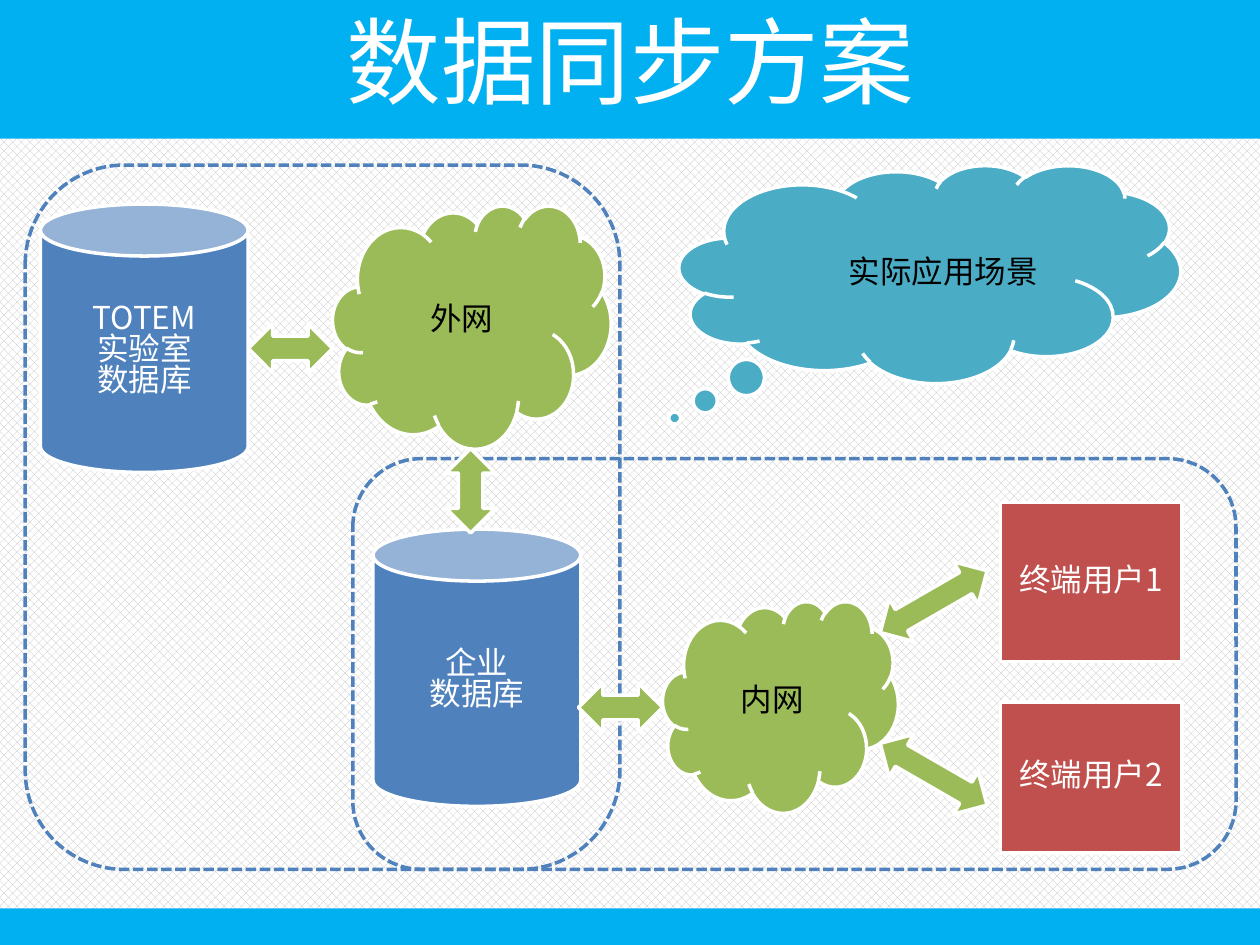
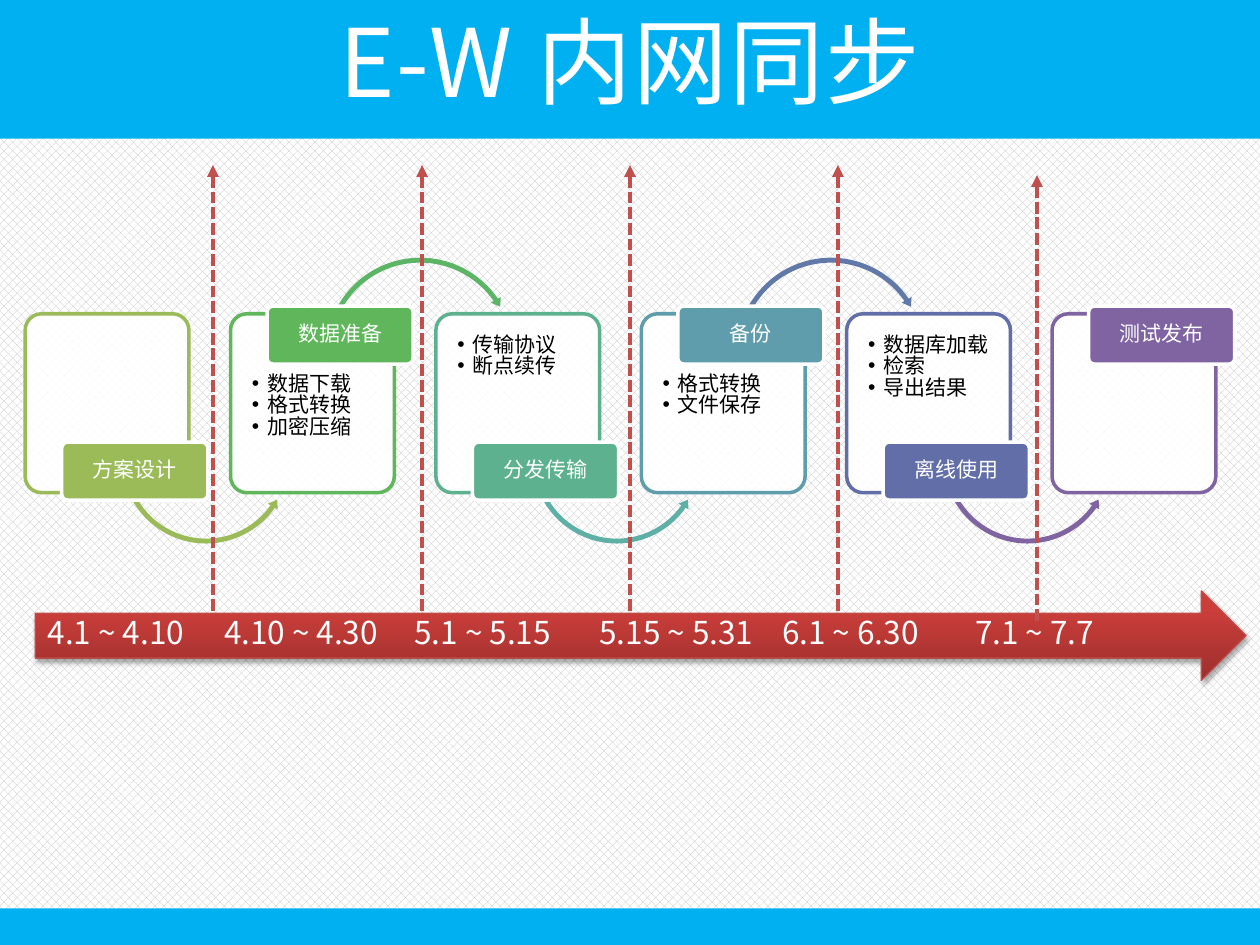
from lxml.etree import SubElement
from pptx import Presentation
from pptx.dml.color import RGBColor
from pptx.enum.dml import MSO_LINE, MSO_PATTERN
from pptx.enum.shapes import MSO_CONNECTOR, MSO_SHAPE
from pptx.enum.text import MSO_ANCHOR, PP_ALIGN
from pptx.oxml import parse_xml
from pptx.oxml.ns import nsdecls, qn
from pptx.util import Pt

PX = 9144
HEAD_FONT = "Noto Sans CJK JP"
BODY_FONT = "Noto Sans CJK SC"

WHITE = RGBColor(0xFF, 0xFF, 0xFF)
BLACK = RGBColor(0x00, 0x00, 0x00)
GREY = RGBColor(0xBF, 0xBF, 0xBF)
SKY = RGBColor(0x00, 0xB0, 0xF0)
BLUE = RGBColor(0x4F, 0x81, 0xBD)
AQUA = RGBColor(0x4B, 0xAC, 0xC6)
LIME = RGBColor(0x9B, 0xBB, 0x59)
RED = RGBColor(0xC0, 0x50, 0x4D)
RUST = RGBColor(0xBF, 0x4C, 0x48)
GREEN = RGBColor(0x5F, 0xB6, 0x5B)
LEAF = RGBColor(0x5C, 0xB5, 0x65)
JADE = RGBColor(0x5D, 0xB1, 0x8E)
TEAL = RGBColor(0x5E, 0xAF, 0xA6)
STEEL = RGBColor(0x5F, 0x9D, 0xAC)
SLATE = RGBColor(0x61, 0x79, 0xA8)
INDIGO = RGBColor(0x62, 0x6E, 0xA7)
PURPLE = RGBColor(0x80, 0x64, 0xA2)

BLEND = f"""<a:gradFill {nsdecls('a')} rotWithShape="1"><a:gsLst>
<a:gs pos="0"><a:srgbClr val="9C2F2D"/></a:gs>
<a:gs pos="80000"><a:srgbClr val="CB3E3A"/></a:gs>
<a:gs pos="100000"><a:srgbClr val="CE3B37"/></a:gs>
</a:gsLst><a:lin ang="16200000" scaled="0"/></a:gradFill>"""
SHADE = f"""<a:outerShdw {nsdecls('a')} blurRad="40000" dist="23000" dir="5400000"
rotWithShape="0"><a:srgbClr val="000000"><a:alpha val="35000"/></a:srgbClr></a:outerShdw>"""


class Deck:
    def __init__(self):
        self.show = Presentation()
        self.show.slide_width = 1000 * PX
        self.show.slide_height = 750 * PX
        self.slide = None
        fill = self.show.slide_master.background.fill
        fill.patterned()
        fill.pattern = MSO_PATTERN.PERCENT_50
        fill.fore_color.rgb = GREY
        fill.back_color.rgb = WHITE

    def page(self, title, gap=0):
        self.slide = self.show.slides.add_slide(self.show.slide_layouts[5])
        head = self.slide.shapes.title
        head.left, head.top, head.width, head.height = 0, 0, 1000 * PX, 110 * PX
        head.fill.solid()
        head.fill.fore_color.rgb = SKY
        self.letter(head, title, 54, WHITE, font=HEAD_FONT, gap=gap)
        self.shape(MSO_SHAPE.RECTANGLE, (0, 721, 1000, 31), SKY)

    def letter(self, item, text, size, color, font=BODY_FONT, inset=5, gap=0,
               lead=0.82, align=PP_ALIGN.CENTER, anchor=MSO_ANCHOR.MIDDLE):
        frame = item.text_frame
        frame.text = text
        frame.word_wrap = True
        frame.vertical_anchor = anchor
        frame.margin_left = inset * PX
        frame.margin_right = 5 * PX
        for para in frame.paragraphs:
            para.alignment = align
            para.line_spacing = lead
            for run in para.runs:
                run.font.size = Pt(size)
                run.font.name = font
                run.font.color.rgb = color
                props = run._r.get_or_add_rPr()
                SubElement(props, qn("a:ea")).set("typeface", font)
                if gap:
                    props.set("spc", str(gap * 100))
        return frame

    def shape(self, kind, box, fill=None, line=None, width=2, turn=0,
              adjust=(), text="", size=18, color=WHITE):
        item = self.slide.shapes.add_shape(kind, *(n * PX for n in box))
        item.shadow.inherit = False
        item.rotation = turn
        for i, value in enumerate(adjust):
            item.adjustments[i] = value
        if fill is None:
            item.fill.background()
        else:
            item.fill.solid()
            item.fill.fore_color.rgb = fill
        if line is None:
            item.line.fill.background()
        else:
            item.line.color.rgb = line
            item.line.width = Pt(width)
        if text:
            self.letter(item, text, size, color)
        return item

    def frame(self, box):
        item = self.shape(MSO_SHAPE.ROUNDED_RECTANGLE, box, line=BLUE)
        item.line.dash_style = MSO_LINE.SQUARE_DOT

    def label(self, box, text):
        item = self.slide.shapes.add_textbox(*(n * PX for n in box))
        self.letter(item, text, 18, BLACK)

    def card(self, box, color):
        item = self.shape(MSO_SHAPE.ROUNDED_RECTANGLE, box, WHITE, color,
                          adjust=(0.1,))
        paint = item._element.spPr.find(qn("a:solidFill"))[0]
        SubElement(paint, qn("a:alpha")).set("val", "90000")

    def bullets(self, box, items):
        item = self.slide.shapes.add_textbox(*(n * PX for n in box))
        frame = self.letter(item, "\n".join(items), 12, BLACK, inset=14,
                            lead=0.85, align=PP_ALIGN.LEFT, anchor=MSO_ANCHOR.TOP)
        frame.margin_top = 14 * PX
        for para in frame.paragraphs:
            props = para._p.get_or_add_pPr()
            props.set("marL", str(12 * PX))
            props.set("indent", str(-12 * PX))
            SubElement(props, qn("a:buFont")).set("typeface", "Arial")
            SubElement(props, qn("a:buChar")).set("char", "•")

    def axis(self, box, dates, stops):
        item = self.shape(MSO_SHAPE.RIGHT_ARROW, box, RED, RUST, 0.75)
        props = item._element.spPr
        props.replace(props.find(qn("a:solidFill")), parse_xml(BLEND))
        props.find(qn("a:effectLst")).append(parse_xml(SHADE))
        frame = self.letter(item, "\t".join(dates), 18, WHITE, inset=10,
                            align=PP_ALIGN.LEFT)
        tabs = SubElement(frame.paragraphs[0]._p.get_or_add_pPr(), qn("a:tabLst"))
        for stop in stops:
            tab = SubElement(tabs, qn("a:tab"))
            tab.set("pos", str(stop * PX))
            tab.set("algn", "l")

    def marker(self, x, top):
        item = self.slide.shapes.add_connector(
            MSO_CONNECTOR.STRAIGHT, x * PX, top * PX, x * PX, (top + 354) * PX)
        item.line.color.rgb = RED
        item.line.width = Pt(2.25)
        item.line.dash_style = MSO_LINE.SQUARE_DOT
        props = item._element.spPr
        SubElement(props.find(qn("a:ln")), qn("a:headEnd")).set("type", "triangle")
        SubElement(props, qn("a:effectLst"))

    def save(self):
        self.show.save("out.pptx")


def scheme(deck):
    deck.page("数据同步方案")
    deck.shape(MSO_SHAPE.CLOUD_CALLOUT, (539, 131, 398, 173), AQUA, WHITE,
               adjust=(-0.509, 0.661))
    deck.label((579, 139, 339, 157), "实际应用场景")

    for box, name in (((264, 163, 221, 193), "外网"), ((526, 477, 187, 168), "内网")):
        deck.shape(MSO_SHAPE.CLOUD, box, LIME, WHITE, text=name, color=BLACK)
    for box, name in (((794, 399, 144, 126), "终端用户1"),
                      ((794, 557, 144, 120), "终端用户2")):
        deck.shape(MSO_SHAPE.RECTANGLE, box, RED, WHITE, text=name)
    for box, name in (((32, 162, 165, 213), "TOTEM\n实验室\n数据库"),
                      ((296, 420, 165, 220), "企业\n数据库")):
        deck.shape(MSO_SHAPE.CAN, box, BLUE, WHITE, text=name)

    deck.frame((20, 131, 472, 559))
    deck.frame((280, 364, 701, 326))

    deck.shape(MSO_SHAPE.UP_DOWN_ARROW, (354, 356, 39, 67), LIME, WHITE)
    for x, y, width, turn in ((197, 257, 67, 0), (459, 542, 67, 0),
                              (692, 458, 98, -30), (692, 595, 98, 30)):
        deck.shape(MSO_SHAPE.LEFT_RIGHT_ARROW, (x, y, width, 39), LIME, WHITE,
                   turn=turn)


def plan(deck):
    deck.page("E-W 内网同步", gap=1)
    steps = (
        ("方案设计", (), LIME, LIME),
        ("数据准备", ("数据下载", "格式转换", "加密压缩"), GREEN, LEAF),
        ("分发传输", ("传输协议", "断点续传"), JADE, TEAL),
        ("备份", ("格式转换", "文件保存"), STEEL, SLATE),
        ("离线使用", ("数据库加载", "检索", "导出结果"), INDIGO, PURPLE),
        ("测试发布", (), PURPLE, None),
    )
    for i, (name, tasks, color, bend) in enumerate(steps):
        x = 20 + 163 * i
        high = i % 2 == 1
        deck.card((x, 249, 130, 142), color)
        if tasks:
            deck.bullets((x + 3, 283 if high else 252, 124, 105), tasks)
        if bend and high:
            deck.shape(MSO_SHAPE.CIRCULAR_ARROW, (x + 73, 202, 155, 155), bend,
                       adjust=(0.025, 3.041, 195.204, 125.755, 0.029))
        elif bend:
            deck.shape(MSO_SHAPE.LEFT_CIRCULAR_ARROW, (x + 74, 295, 139, 139), bend,
                       adjust=(0.028, 3.43, 21.185, 90.245, 0.033))
        deck.shape(MSO_SHAPE.ROUNDED_RECTANGLE,
                   (x + 29, 243 if high else 351, 116, 46), color, WHITE,
                   adjust=(0.1,), text=name, size=12)

    deck.axis((28, 469, 961, 71),
              ("4.1 ~ 4.10", "4.10 ~ 4.30", "5.1 ~ 5.15",
               "5.15 ~ 5.31", "6.1 ~ 6.30", "7.1 ~ 7.7"),
              (140, 291, 438, 583, 736))
    for x, top in ((169, 131), (335, 131), (500, 131), (665, 131), (823, 139)):
        deck.marker(x, top)


def main():
    deck = Deck()
    scheme(deck)
    plan(deck)
    deck.save()


if __name__ == "__main__":
    main()
